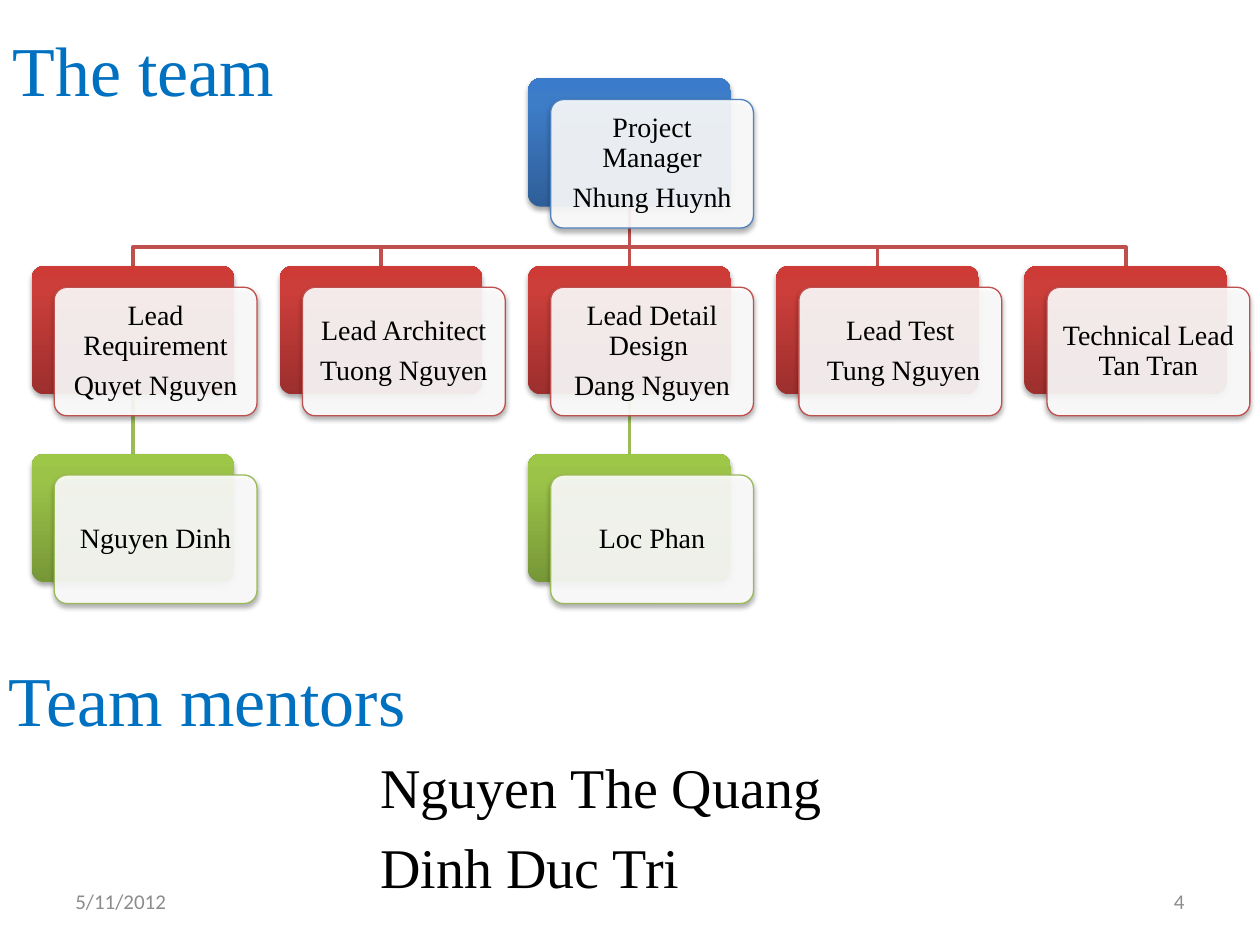
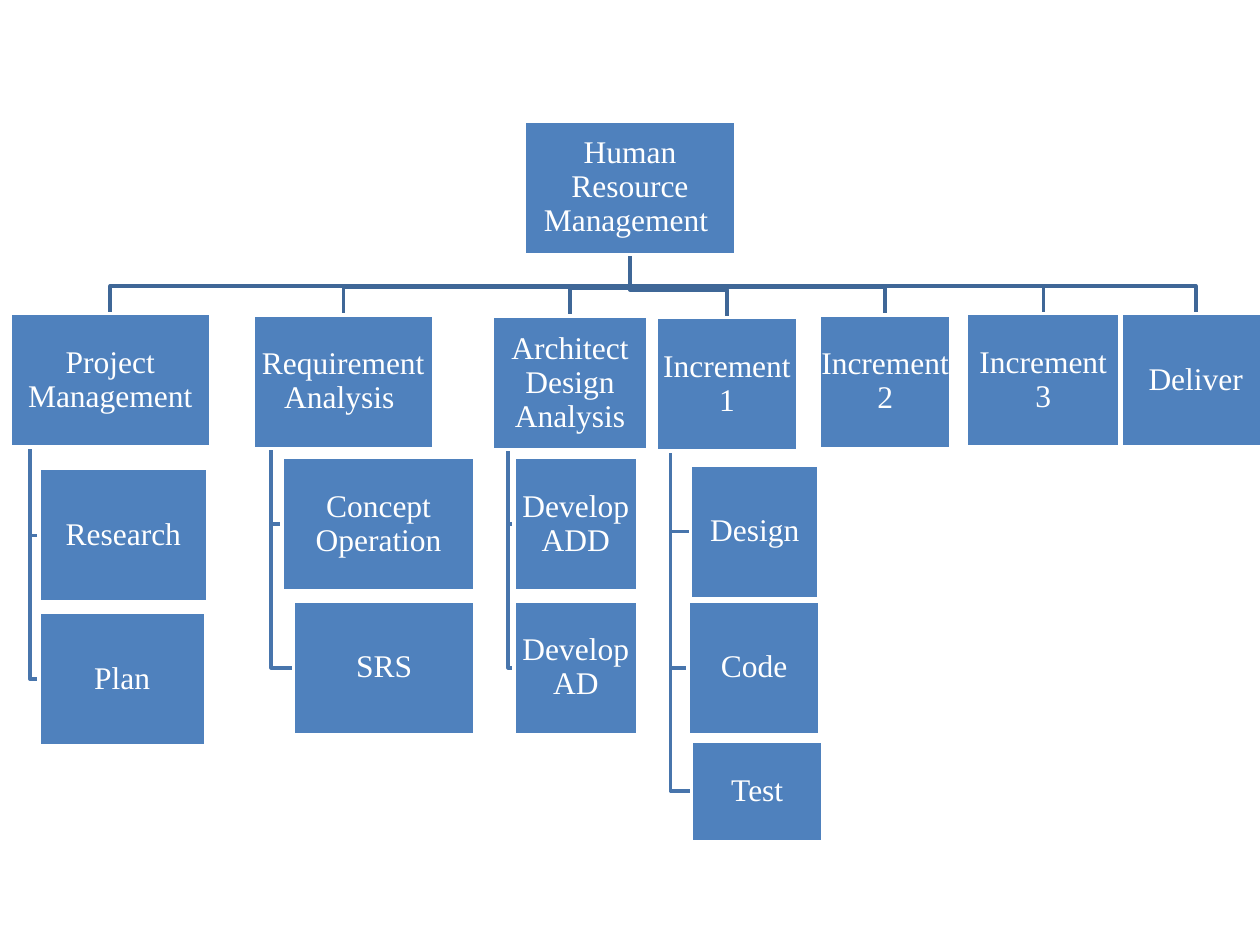
from copy import deepcopy

from lxml import etree
from pptx import Presentation
from pptx.dml.color import RGBColor
from pptx.enum.shapes import MSO_CONNECTOR, MSO_SHAPE
from pptx.enum.text import MSO_ANCHOR, PP_ALIGN
from pptx.oxml.ns import qn
from pptx.util import Inches, Pt

ROUNDED, RECT = MSO_SHAPE.ROUNDED_RECTANGLE, MSO_SHAPE.RECTANGLE
STRAIGHT = MSO_CONNECTOR.STRAIGHT
TOP, MIDDLE = MSO_ANCHOR.TOP, MSO_ANCHOR.MIDDLE
LEFT, CENTER, RIGHT = PP_ALIGN.LEFT, PP_ALIGN.CENTER, PP_ALIGN.RIGHT

SERIF, SANS = "Times New Roman", "Calibri"
COLORS = {
    "title": "0070C0", "text": "000000", "footer": "8C8C8C", "white": "FFFFFF",
    "manager": "4F81BD", "lead": "C0504D", "member": "9BBB59",
    "task": "4F81BD", "branch link": "3F6797", "task link": "4875AC",
}
GRADIENTS = {
    "manager": ("2F5F99", "3D7CC7", "3A7CCB"),
    "lead": ("9C2F2D", "CB3E3A", "CE3B37"),
    "member": ("779737", "9BC348", "9DC746"),
}


def write(shape, lines, size, color, font=SERIF, align=LEFT, anchor=MIDDLE,
          margins=(0.1, 0.05), spacing=1.0, before=0, after=0):
    frame = shape.text_frame
    frame.word_wrap = True
    frame.vertical_anchor = anchor
    frame.margin_left = frame.margin_right = Inches(margins[0])
    frame.margin_top = frame.margin_bottom = Inches(margins[1])
    for i, line in enumerate(lines):
        paragraph = frame.add_paragraph() if i else frame.paragraphs[0]
        paragraph.alignment = align
        paragraph.line_spacing = spacing
        paragraph.space_before = Pt(before if i else 0)
        paragraph.space_after = Pt(after)
        run = paragraph.add_run()
        run.text = line
        run.font.name = font
        run.font.size = Pt(size)
        run.font.color.rgb = RGBColor.from_string(COLORS[color])


def link(slide, points, color):
    points = [(Inches(x), Inches(y)) for x, y in points]
    if len(points) == 2:
        line = slide.shapes.add_connector(STRAIGHT, *points[0], *points[1])
        etree.SubElement(line._element.spPr, qn("a:effectLst"))
    else:
        path = slide.shapes.build_freeform(*points[0])
        path.add_line_segments(points[1:], close=False)
        line = path.convert_to_shape()
        line.fill.background()
        line.shadow.inherit = False
    line.line.color.rgb = RGBColor.from_string(COLORS[color])
    line.line.width = Pt(2)


prs = Presentation()
prs.slide_width, prs.slide_height = Inches(10), Inches(7.5)
blank = prs.slide_layouts[6]

# Slide 1: team chart
team = prs.slides.add_slide(blank)
CARD_W, CARD_H = 1.61, 1.02
COL_LEFT, COL_STEP = 0.25, 1.97
ROW_TOP, ROW_STEP = 0.62, 1.49
BUS_Y = 1.96

# Column, row, role, lines
members = [
    (2, 0, "manager", ["Project Manager", "Nhung Huynh"]),
    (0, 1, "lead", ["Lead Requirement", "Quyet Nguyen"]),
    (0, 2, "member", ["Nguyen Dinh"]),
    (1, 1, "lead", ["Lead Architect", "Tuong Nguyen"]),
    (2, 1, "lead", ["Lead Detail Design ", "Dang Nguyen"]),
    (2, 2, "member", ["Loc Phan"]),
    (3, 1, "lead", ["Lead Test", " Tung Nguyen"]),
    (4, 1, "lead", ["Technical Lead Tan Tran"]),
]

# Reporting lines
trunk_x = COL_LEFT + 2 * COL_STEP + CARD_W / 2
for column, row, role, _ in members:
    if row == 0:
        continue
    x = COL_LEFT + column * COL_STEP + CARD_W / 2
    end_y = ROW_TOP + row * ROW_STEP
    start_y = end_y - ROW_STEP + CARD_H
    if column == 2 or row == 2:
        link(team, [(x, start_y), (x, end_y)], role)
    else:
        link(team, [(trunk_x, start_y), (trunk_x, BUS_Y), (x, BUS_Y), (x, end_y)], role)

# Cards: a gradient plate with a translucent name card over it
for column, row, role, lines in members:
    left, top = COL_LEFT + column * COL_STEP, ROW_TOP + row * ROW_STEP
    plate, card = [
        team.shapes.add_shape(ROUNDED, Inches(left + dx), Inches(top + dy),
                              Inches(CARD_W), Inches(CARD_H))
        for dx, dy in ((0, 0), (0.18, 0.17))
    ]
    plate.fill.gradient()
    plate.fill.gradient_angle = 90
    stop_list = plate._element.spPr.find(".//" + qn("a:gsLst"))
    stop_list.insert(1, deepcopy(stop_list[0]))
    for stop, position, shade in zip(plate.fill.gradient_stops, (0, 0.8, 1), GRADIENTS[role]):
        stop.position = position
        stop.color.rgb = RGBColor.from_string(shade)
    plate.line.fill.background()

    card.fill.solid()
    card.fill.fore_color.rgb = RGBColor.from_string(COLORS["white"])
    white = card._element.spPr.find(qn("a:solidFill"))[0]
    etree.SubElement(white, qn("a:alpha"), val="90000")
    card.line.color.rgb = RGBColor.from_string(COLORS[role])
    card.line.width = Pt(0.75)

    for layer in (plate, card):
        layer.adjustments[0] = 0.1
        layer.shadow.inherit = False
        effects = layer._element.spPr.find(qn("a:effectLst"))
        shadow = etree.SubElement(effects, qn("a:outerShdw"), blurRad=str(Pt(3.1)),
                                  dist=str(Pt(1.8)), dir="5400000", rotWithShape="0")
        shade = etree.SubElement(shadow, qn("a:srgbClr"), val="000000")
        etree.SubElement(shade, qn("a:alpha"), val="35000")
    write(card, lines, 16, "text", align=CENTER, margins=(0.07, 0.07),
          spacing=0.9, after=5.6)

# Titles, mentors and footer
for (left, top, width, height), lines, style in [
    ((0, -0.08, 8.99, 1.25), ["The team"], dict(size=40, color="title")),
    ((-0.03, 4.92, 5.33, 1.25), ["Team mentors"], dict(size=40, color="title")),
    ((2.42, 5.92, 6.92, 1.58), ["Nguyen The Quang", "Dinh Duc Tri"],
     dict(size=32, color="text", anchor=TOP, margins=(0.6, 0.05), before=7.4)),
    ((0.5, 6.95, 2.33, 0.4), ["5/11/2012"], dict(size=12, color="footer", font=SANS)),
    ((7.17, 6.95, 2.33, 0.4), ["4"], dict(size=12, color="footer", font=SANS, align=RIGHT)),
]:
    box = team.shapes.add_textbox(Inches(left), Inches(top), Inches(width), Inches(height))
    write(box, lines, **style)

# Slide 2: work breakdown
work = prs.slides.add_slide(blank)
BOX_H = 1.06
ROOT_X, ROOT_BOTTOM = 5, 2.02
BUS_GAP = 0.22

# Text, left, top, width, height; each branch with its tasks
root = ("Human Resource Management ", 4.16, 0.96, 1.68, BOX_H)
branches = [
    (("Project Management", 0.08, 2.49, 1.59, BOX_H), [
        ("Research", 0.31, 3.72, 1.34, BOX_H),
        ("Plan", 0.31, 4.86, 1.32, BOX_H)]),
    (("Requirement Analysis ", 2.01, 2.5, 1.43, BOX_H), [
        ("Concept Operation", 2.24, 3.63, 1.53, BOX_H),
        ("SRS", 2.33, 4.77, 1.44, BOX_H)]),
    (("Architect Design Analysis", 3.91, 2.51, 1.23, BOX_H), [
        ("Develop ADD", 4.08, 3.63, 0.98, BOX_H),
        ("Develop AD", 4.08, 4.77, 0.98, BOX_H)]),
    (("Increment 1", 5.21, 2.52, 1.12, BOX_H), [
        ("Design", 5.48, 3.69, 1.02, BOX_H),
        ("Code", 5.46, 4.77, 1.05, BOX_H),
        ("Test", 5.49, 5.88, 1.04, 0.8)]),
    (("Increment 2", 6.5, 2.5, 1.05, BOX_H), []),
    (("Increment 3", 7.67, 2.49, 1.22, BOX_H), []),
    (("Deliver", 8.9, 2.49, 1.18, BOX_H), []),
]

# Links from the root to branches and from branches to tasks
boxes = [root]
for branch, tasks in branches:
    _, left, top, width, height = branch
    x, bus_y = left + width / 2, top - BUS_GAP
    link(work, [(ROOT_X, ROOT_BOTTOM), (ROOT_X, bus_y), (x, bus_y), (x, top)], "branch link")
    stem_x = left + width / 10
    for _, task_left, task_top, _, task_height in tasks:
        y = task_top + task_height / 2
        link(work, [(stem_x, top + height), (stem_x, y), (task_left, y)], "task link")
    boxes += [branch, *tasks]

# Boxes
for text, *place in boxes:
    box = work.shapes.add_shape(RECT, *[Inches(length) for length in place])
    box.shadow.inherit = False
    box.fill.solid()
    box.fill.fore_color.rgb = RGBColor.from_string(COLORS["task"])
    box.line.color.rgb = RGBColor.from_string(COLORS["white"])
    box.line.width = Pt(2)
    write(box, [text], 18, "white", align=CENTER, margins=(0.01, 0.01),
          spacing=0.9, after=6.3)

prs.save("out.pptx")
